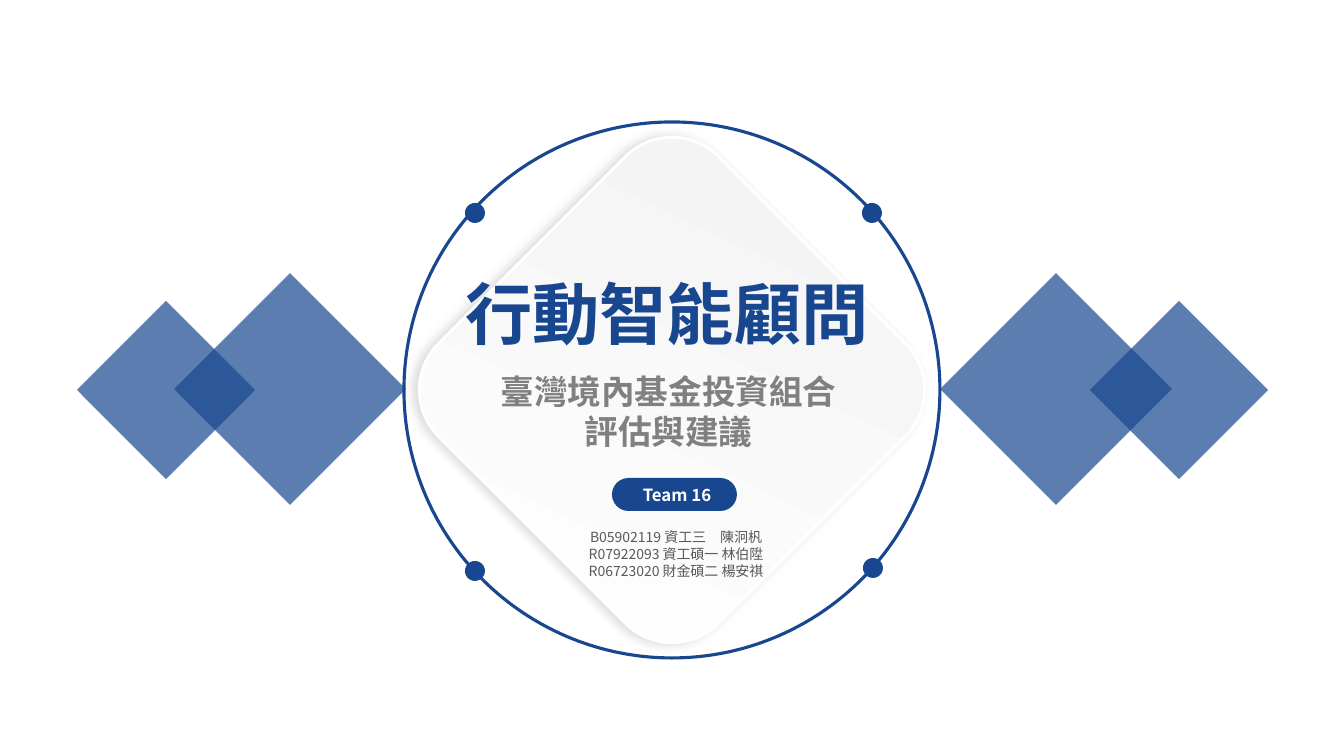
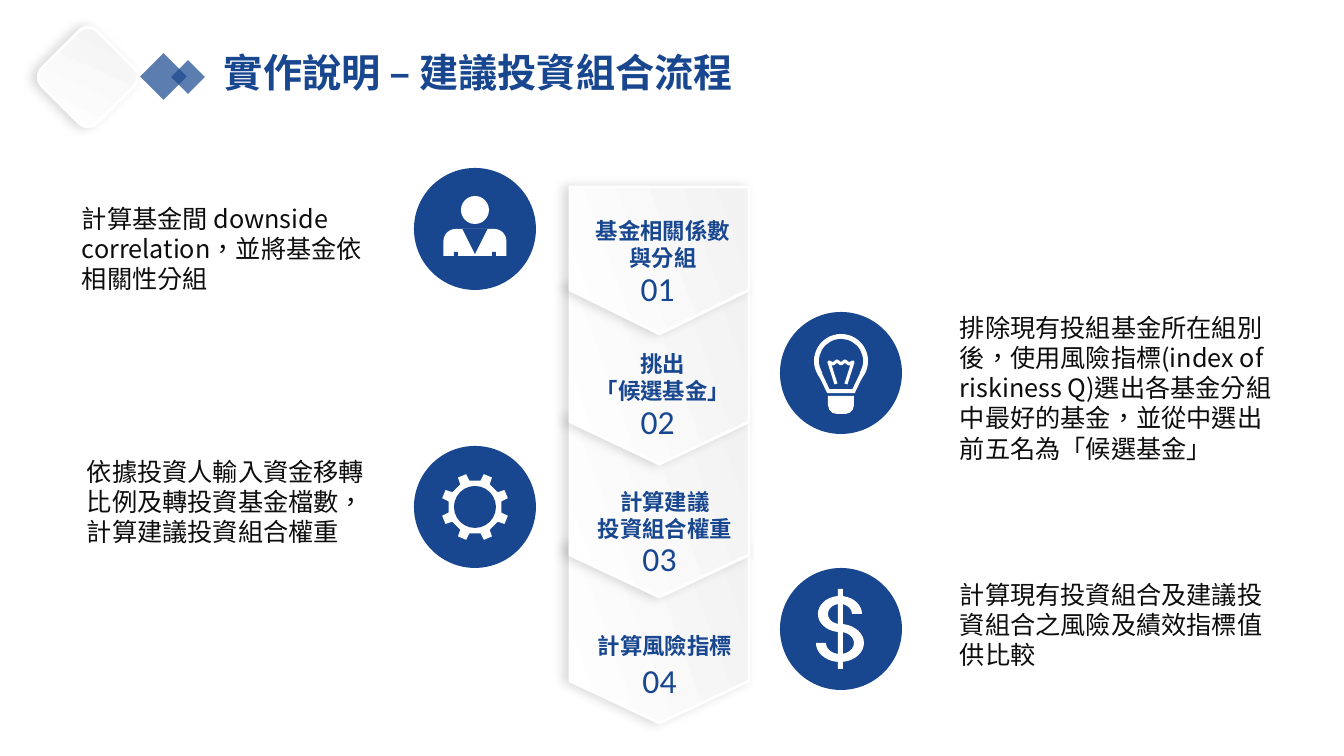
"""Build a cover slide and a process slide in one blue diamond style."""
from math import cos, radians, sin

from lxml import etree
from pptx import Presentation
from pptx.dml.color import RGBColor
from pptx.enum.lang import MSO_LANGUAGE_ID
from pptx.enum.shapes import MSO_SHAPE
from pptx.enum.text import MSO_AUTO_SIZE, PP_ALIGN
from pptx.oxml import parse_xml
from pptx.oxml.ns import qn
from pptx.util import Pt

PX = 914400 / 100.8
RECT, ROUND = MSO_SHAPE.RECTANGLE, MSO_SHAPE.ROUNDED_RECTANGLE
OVAL, PLATE = MSO_SHAPE.OVAL, MSO_SHAPE.PENTAGON
DOME = MSO_SHAPE.ROUND_2_SAME_RECTANGLE
WEDGE, NECK = MSO_SHAPE.FLOWCHART_MERGE, MSO_SHAPE.FLOWCHART_MANUAL_OPERATION
LEFT, MID = PP_ALIGN.LEFT, PP_ALIGN.CENTER
GROW = MSO_AUTO_SIZE.SHAPE_TO_FIT_TEXT
ZH = MSO_LANGUAGE_ID.TRADITIONAL_CHINESE
NOTO, CALI = "Noto Sans CJK SC", "Calibri"
HEX = {"blue": "18478F", "white": "FFFFFF", "pale": "F2F2F2",
       "gray": "808080", "dark": "595959", "ink": "0D0D0D"}
RGB = {name: RGBColor.from_string(code) for name, code in HEX.items()}
FORM = {
    "cover": ("blue", {"size": Pt(48), "name": NOTO, "bold": True}),
    "sub": ("gray", {"size": Pt(24), "name": NOTO, "bold": True}),
    "team": ("white", {"size": Pt(12), "name": NOTO, "bold": True}),
    "crew": ("dark", {"size": Pt(10), "name": NOTO}),
    "title": ("blue", {"size": Pt(28), "name": CALI, "bold": True}),
    "step": ("blue", {"size": Pt(16), "name": CALI, "bold": True}),
    "count": ("blue", {"size": Pt(24), "name": CALI}),
    "note": ("ink", {"size": Pt(18), "name": NOTO}),
}
SHADE = (
    '<a:effectLst xmlns:a="http://schemas.openxmlformats.org/drawingml/2006/main">'
    '<a:outerShdw blurRad="101600" dist="50800" dir="10800000" rotWithShape="0">'
    '<a:srgbClr val="000000"><a:alpha val="14000"/></a:srgbClr>'
    '</a:outerShdw></a:effectLst>')


def draw(slide, kind, box, look, turn=0, bend=None):
    """Add a preset shape in a look: blue, white, glass, card or ring."""
    shape = slide.shapes.add_shape(kind, *[int(v * PX) for v in box])
    shape.rotation = turn
    shape.shadow.inherit = False
    if bend is not None:
        shape.adjustments[0] = bend
    fill, line = shape.fill, shape.line
    if look == "card":
        fill.gradient()
        fill.gradient_angle = 110
        for stop, name in zip(fill.gradient_stops, ("white", "pale")):
            stop.color.rgb = RGB[name]
        line.color.rgb, line.width = RGB["white"], Pt(2)
        props = shape.element.spPr
        props.replace(props.find(qn("a:effectLst")), parse_xml(SHADE))
    elif look == "ring":
        fill.background()
        line.color.rgb, line.width = RGB["blue"], Pt(2.25)
    else:
        fill.solid()
        fill.fore_color.rgb = RGB["white" if look == "white" else "blue"]
        line.fill.background()
        if look == "glass":
            tint = shape.element.spPr.find(".//" + qn("a:srgbClr"))
            etree.SubElement(tint, qn("a:alpha")).set("val", "70000")


def write(slide, box, text, form, align=LEFT, wrap=True):
    """Add a text box with one paragraph for each line of text."""
    frame = slide.shapes.add_textbox(*[int(v * PX) for v in box]).text_frame
    frame.word_wrap, frame.auto_size = wrap, GROW
    color, style = FORM[form]
    for i, line in enumerate(text.split("\n")):
        para = frame.add_paragraph() if i else frame.paragraphs[0]
        para.alignment = align
        run = para.add_run()
        run.text = line
        run.font.color.rgb = RGB[color]
        run.font.language_id = ZH
        for key, value in style.items():
            setattr(run.font, key, value)
        etree.SubElement(run.font._element, qn("a:ea")).set("typeface", NOTO)


deck = Presentation()
deck.slide_width, deck.slide_height = int(1344 * PX), int(756 * PX)
blank = deck.slide_layouts[6]
cover, flow = [deck.slides.add_slide(blank) for _ in range(2)]

for x, y, side, turn in ((208, 307, 164, 45), (103, 327, 126, 45),
                         (974, 307, 164, 225), (1116, 327, 126, 225)):
    draw(cover, RECT, (x, y, side, side), "glass", turn)
draw(cover, ROUND, (474, 192, 396, 396), "card", 45)
draw(cover, OVAL, (404, 122, 536, 536), "ring")
write(cover, (482, 366, 373, 92), "臺灣境內基金投資組合\n評估與建議", "sub", MID)
write(cover, (453, 267, 428, 92), "行動智能顧問", "cover", MID, False)
draw(cover, ROUND, (612, 478, 125, 33), "blue", bend=0.5)
write(cover, (633, 480, 90, 30), "Team 16", "team")
for x, y in ((465, 203), (863, 558), (465, 561), (862, 203)):
    draw(cover, OVAL, (x, y, 20, 20), "blue")
crew = "B05902119 資工三　陳泂杋\nR07922093 資工碩一 林伯陞\nR06723020 財金碩二 楊安祺"
write(cover, (497, 524, 358, 61), crew, "crew", MID)

for y in (544, 418, 285):
    draw(flow, PLATE, (570, y, 179, 179), "card", 90, 0.235)
draw(flow, PLATE, (586, 171, 147, 179), "card", 90, 0.299)

left, right, disc = 475, 841, 61
for x, y in ((left, 229), (right, 373), (left, 507), (right, 629)):
    draw(flow, OVAL, (x - disc, y - disc, 2 * disc, 2 * disc), "blue")

person = ((OVAL, 196, 28, 28, "white"), (DOME, 229, 63, 27, "white"),
          (WEDGE, 229, 25, 25, "blue"))
for kind, top, wide, high, look in person:
    draw(flow, kind, (left - wide / 2, top, wide, high), look,
         bend=0.45 if kind == DOME else None)
for side in (-1, 1):
    draw(flow, RECT, (left + 19 * side - 2, 252, 4, 5), "blue")

bulb = ((OVAL, 334, 54, 54, "white"), (NECK, 374, 46, 19, "white"),
        (OVAL, 339, 44, 44, "blue"), (NECK, 373, 38, 16, "blue"))
for kind, top, wide, high, look in bulb:
    draw(flow, kind, (right - wide / 2, top, wide, high), look)
draw(flow, DOME, (right - 13, 396, 26, 18), "white", 180, 0.5)

half = [(-5, 384), (-12, 362), (-8, 364), (-4, 361)]
wire = [(right + x, y) for x, y in half]
wire += [(right, 364)] + [(right - x, y) for x, y in reversed(half)]

gear = []
for tooth in range(8):
    for reach, angle in ((27, 12), (34, 15), (34, 30), (27, 33)):
        turn = radians(45 * tooth + angle)
        gear.append((left + reach * cos(turn), 507 + reach * sin(turn)))

bowls = ((614, 17, 14, 1, range(0, -271, -10)), (643, 19, 15, -1, range(-90, 181, 10)))
edges = {1: [], -1: []}
for edge, points in edges.items():
    for y, wide, high, sign, sweep in bowls:
        for angle in sweep:
            turn = radians(angle)
            points.append((right - 1 + (wide + 5 * edge * sign) * cos(turn),
                           y + (high + 4 * edge * sign) * sin(turn)))
dollar = edges[1] + edges[-1][::-1]

for outline, closed in ((wire, False), (gear, True), (dollar, True)):
    first, *rest = [(x * PX, y * PX) for x, y in outline]
    pen = flow.shapes.build_freeform(*first)
    pen.add_line_segments(rest, close=closed)
    mark = pen.convert_to_shape()
    mark.shadow.inherit = False
    if closed:
        mark.fill.solid()
        mark.fill.fore_color.rgb = RGB["white"]
        mark.line.fill.background()
    else:
        mark.fill.background()
        mark.line.color.rgb, mark.line.width = RGB["white"], Pt(2.25)
draw(flow, OVAL, (left - 21, 507 - 21, 42, 42), "blue")
draw(flow, RECT, (right - 3, 589, 5, 80), "white")

steps = ((585, 212, 64, 263, "基金相關係數\n與分組"),
         (585, 345, 64, 396, "挑出\n「候選基金」"),
         (587, 483, 64, 533, "計算建議\n投資組合權重"),
         (587, 627, 37, 655, "計算風險指標"))
for i, (x, y, high, low, text) in enumerate(steps, 1):
    write(flow, (x + 38, low, 69, 50), f"{i:02}", "count", MID)
    write(flow, (x, y, 156, high), text, "step", MID, False)

for x, y, side in ((147, 60, 33), (176, 65, 24)):
    draw(flow, RECT, (x, y, side, side), "glass", 225)
draw(flow, ROUND, (49, 38, 78, 78), "card", 45)
write(flow, (214, 43, 600, 57), "實作說明 – 建議投資組合流程", "title")
notes = (
    (72, 198, 320, 102, "計算基金間 downside correlation，並將基金依相關性分組"),
    (950, 307, 344, 163, "排除現有投組基金所在組別後，使用風險指標(index of riskiness Q)"
     "選出各基金分組中最好的基金，並從中選出前五名為「候選基金」"),
    (77, 451, 320, 102, "依據投資人輸入資金移轉比例及轉投資基金檔數，計算建議投資組合權重"),
    (950, 574, 327, 132, "計算現有投資組合及建議投資組合之風險及績效指標值供比較"))
for *box, text in notes:
    write(flow, box, text, "note")

deck.save("out.pptx")
